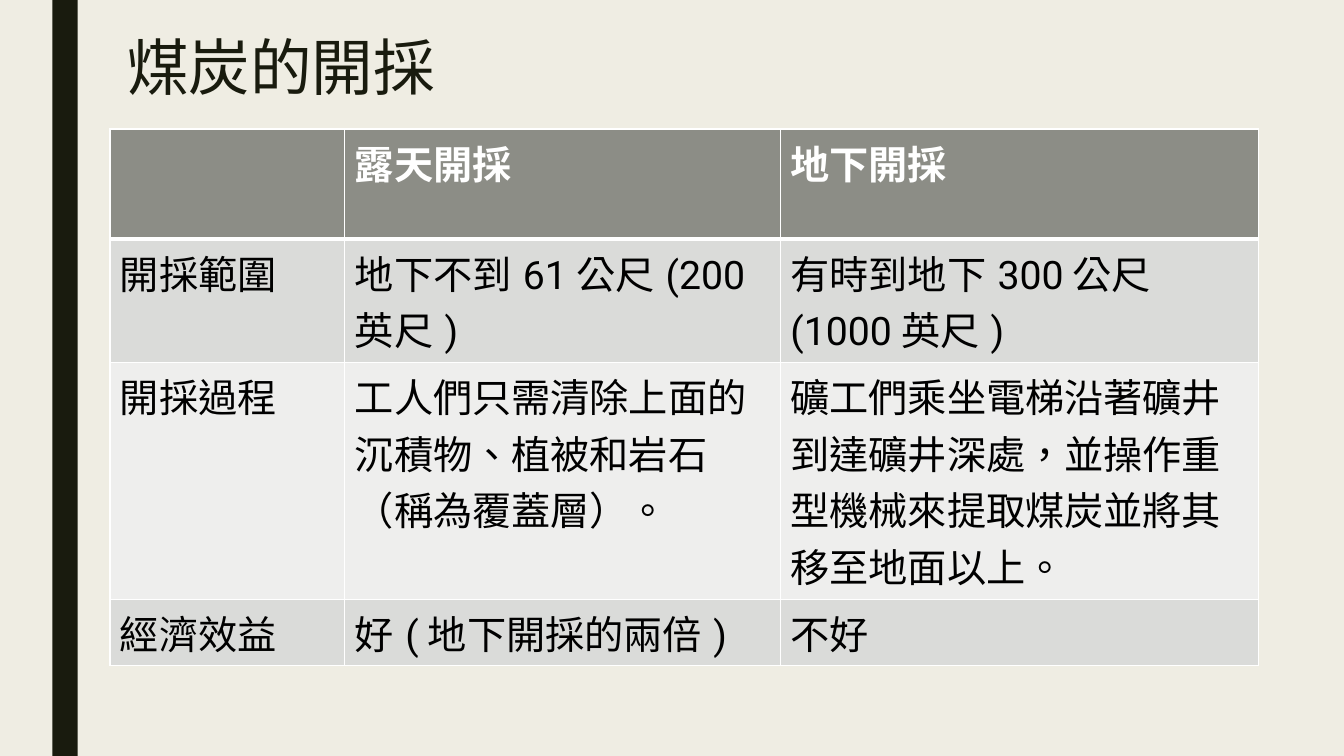
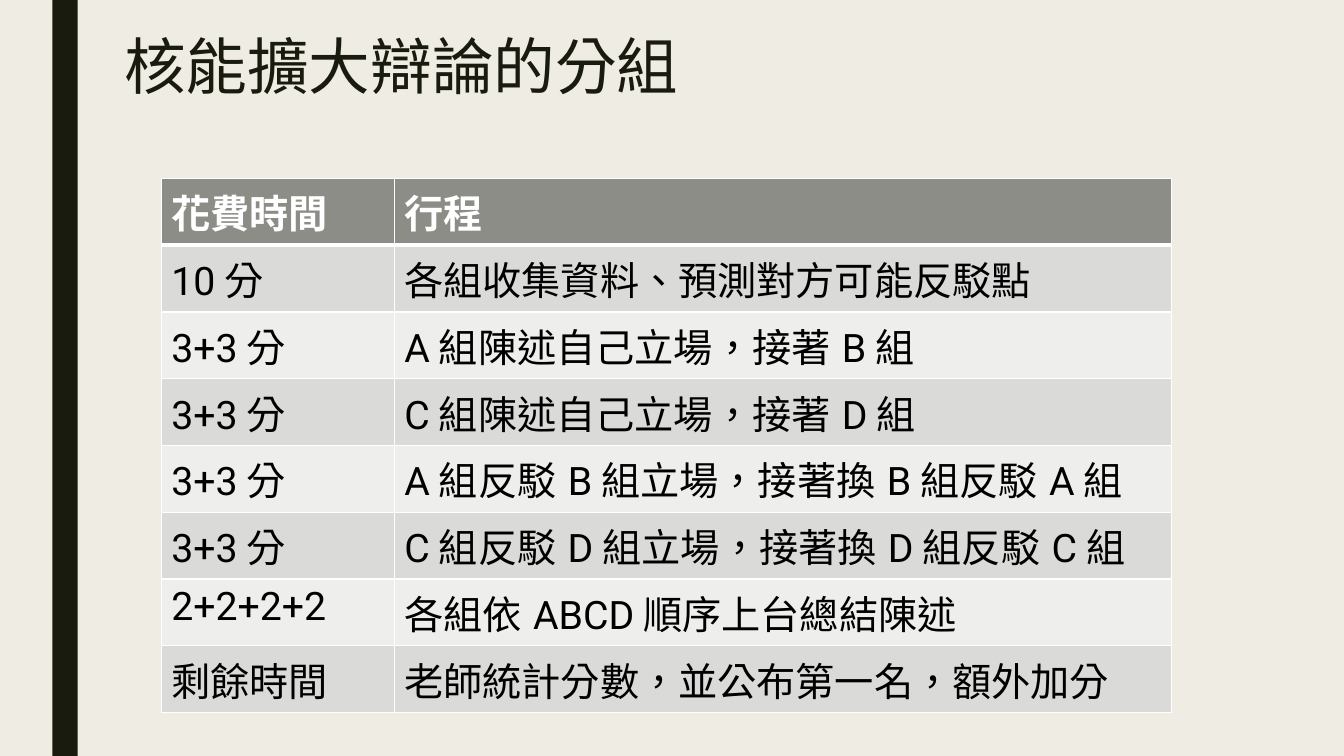
from dataclasses import dataclass

import lxml.etree
import pptx
import pptx.dml.color
import pptx.enum.lang
import pptx.enum.shapes
import pptx.enum.text
import pptx.oxml.ns
import pptx.util

Inches = pptx.util.Inches
FONT = "Roboto"
COLORS = {
    "paper": "EFEDE3",
    "ink": "191B0E",
    "header": "8C8D86",
    "odd": "DADBD9",
    "even": "EEEEED",
    "white": "FFFFFF",
    "black": "000000",
}


@dataclass(frozen=True)
class TableSlide:
    title: str
    title_at: tuple[float, float]
    table_at: tuple[float, float]
    cols: list[float]
    heights: list[float]
    rows: list[list[str]]


SLIDES = [
    TableSlide(
        title="煤炭的開採",
        title_at=(1.16, 0.33),
        table_at=(1.09, 1.28),
        cols=[2.33, 4.32, 4.74],
        heights=[1.09, 1.21, 2.35, 0.66],
        rows=[
            ["", "露天開採", "地下開採"],
            ["開採範圍", "地下不到61公尺(200英尺)", "有時到地下300公尺(1000英尺)"],
            [
                "開採過程",
                "工人們只需清除上面的沉積物、植被和岩石（稱為覆蓋層）。",
                "礦工們乘坐電梯沿著礦井到達礦井深處，並操作重型機械來提取煤炭並將其移至地面以上。",
            ],
            ["經濟效益", "好(地下開採的兩倍)", "不好"],
        ],
    ),
    TableSlide(
        title="核能擴大辯論的分組",
        title_at=(1.13, 0.32),
        table_at=(1.6, 1.77),
        cols=[2.31, 7.71],
        heights=[0.66] * 8,
        rows=[
            ["花費時間", "行程"],
            ["10分", "各組收集資料、預測對方可能反駁點"],
            ["3+3分", "A組陳述自己立場，接著B組"],
            ["3+3分", "C組陳述自己立場，接著D組"],
            ["3+3分", "A組反駁B組立場，接著換B組反駁A組"],
            ["3+3分", "C組反駁D組立場，接著換D組反駁C組"],
            ["2+2+2+2", "各組依ABCD順序上台總結陳述"],
            ["剩餘時間", "老師統計分數，並公布第一名，額外加分"],
        ],
    ),
]


def rgb(name: str) -> pptx.dml.color.RGBColor:
    return pptx.dml.color.RGBColor.from_string(COLORS[name])


def write(tf, text: str, *, size: float, color: str, bold: bool = False,
          spacing: float | None = None) -> None:
    p = tf.paragraphs[0]
    p.alignment = pptx.enum.text.PP_ALIGN.LEFT
    p.line_spacing = spacing
    r = p.add_run()
    r.text = text
    r.font.name = FONT
    r.font.size = pptx.util.Pt(size)
    r.font.bold = bold
    r.font.color.rgb = rgb(color)
    r.font.language_id = pptx.enum.lang.MSO_LANGUAGE_ID.TRADITIONAL_CHINESE


def set_borders(cell, widths: dict[str, float]) -> None:
    qn = pptx.oxml.ns.qn
    tcPr = cell._tc.get_or_add_tcPr()
    for i, (side, width) in enumerate(widths.items()):
        ln = lxml.etree.Element(qn(f"a:ln{side}"), w=str(pptx.util.Pt(width)))
        fill = lxml.etree.SubElement(ln, qn("a:solidFill"))
        lxml.etree.SubElement(fill, qn("a:srgbClr"), val=COLORS["white"])
        tcPr.insert(i, ln)


def add_grid(s, item: TableSlide) -> None:
    left, top = item.table_at
    tbl = s.shapes.add_table(
        len(item.rows), len(item.cols), Inches(left), Inches(top),
        Inches(sum(item.cols)), Inches(sum(item.heights))).table
    tbl.first_row = tbl.horz_banding = False
    for col, width in zip(tbl.columns, item.cols):
        col.width = Inches(width)
    for i, (row, height, texts) in enumerate(zip(tbl.rows, item.heights, item.rows)):
        row.height = Inches(height)
        head = i == 0
        fill = "header" if head else "odd" if i % 2 else "even"
        for cell, text in zip(row.cells, texts):
            cell.fill.solid()
            cell.fill.fore_color.rgb = rgb(fill)
            set_borders(cell, {"L": 1, "R": 1, "T": 3 if i == 1 else 1, "B": 3 if head else 1})
            if text:
                write(cell.text_frame, text, size=28, bold=head,
                      color="white" if head else "black")


def set_title(s, item: TableSlide) -> None:
    sp = s.shapes.title
    left, top = item.title_at
    sp.left, sp.top = Inches(left), Inches(top)
    sp.width, sp.height = Inches(10.5), Inches(1.62)
    tf = sp.text_frame
    tf.word_wrap = True
    tf.auto_size = pptx.enum.text.MSO_AUTO_SIZE.NONE
    tf.vertical_anchor = pptx.enum.text.MSO_ANCHOR.TOP
    write(tf, item.title, size=44, color="ink", spacing=0.89)


def style_master(prs, s) -> None:
    master = prs.slide_master
    master.background.fill.solid()
    master.background.fill.fore_color.rgb = rgb("paper")
    band = s.shapes.add_shape(pptx.enum.shapes.MSO_SHAPE.RECTANGLE,
                              Inches(0.52), 0, Inches(0.25), prs.slide_height)
    band.shadow.inherit = False
    band.fill.solid()
    band.fill.fore_color.rgb = rgb("ink")
    band.line.fill.background()
    band.element.nvSpPr.cNvPr.set("id", "20")
    master.shapes.element.append(band.element)


def main() -> None:
    prs = pptx.Presentation()
    prs.slide_width, prs.slide_height = Inches(13.33), Inches(7.5)
    for item in SLIDES:
        s = prs.slides.add_slide(prs.slide_layouts[5])
        set_title(s, item)
        add_grid(s, item)
    style_master(prs, prs.slides[0])
    prs.save("out.pptx")


if __name__ == "__main__":
    main()
